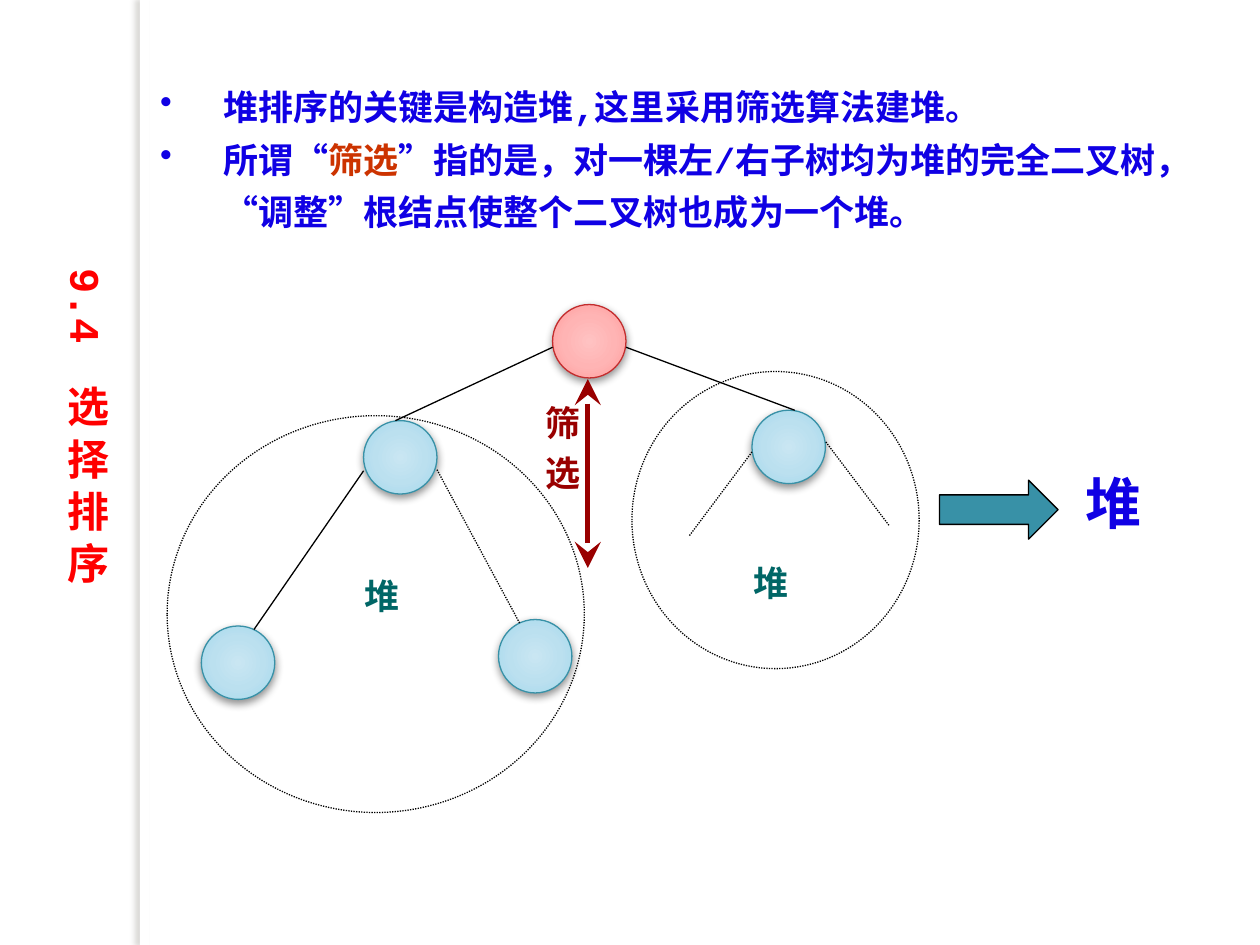
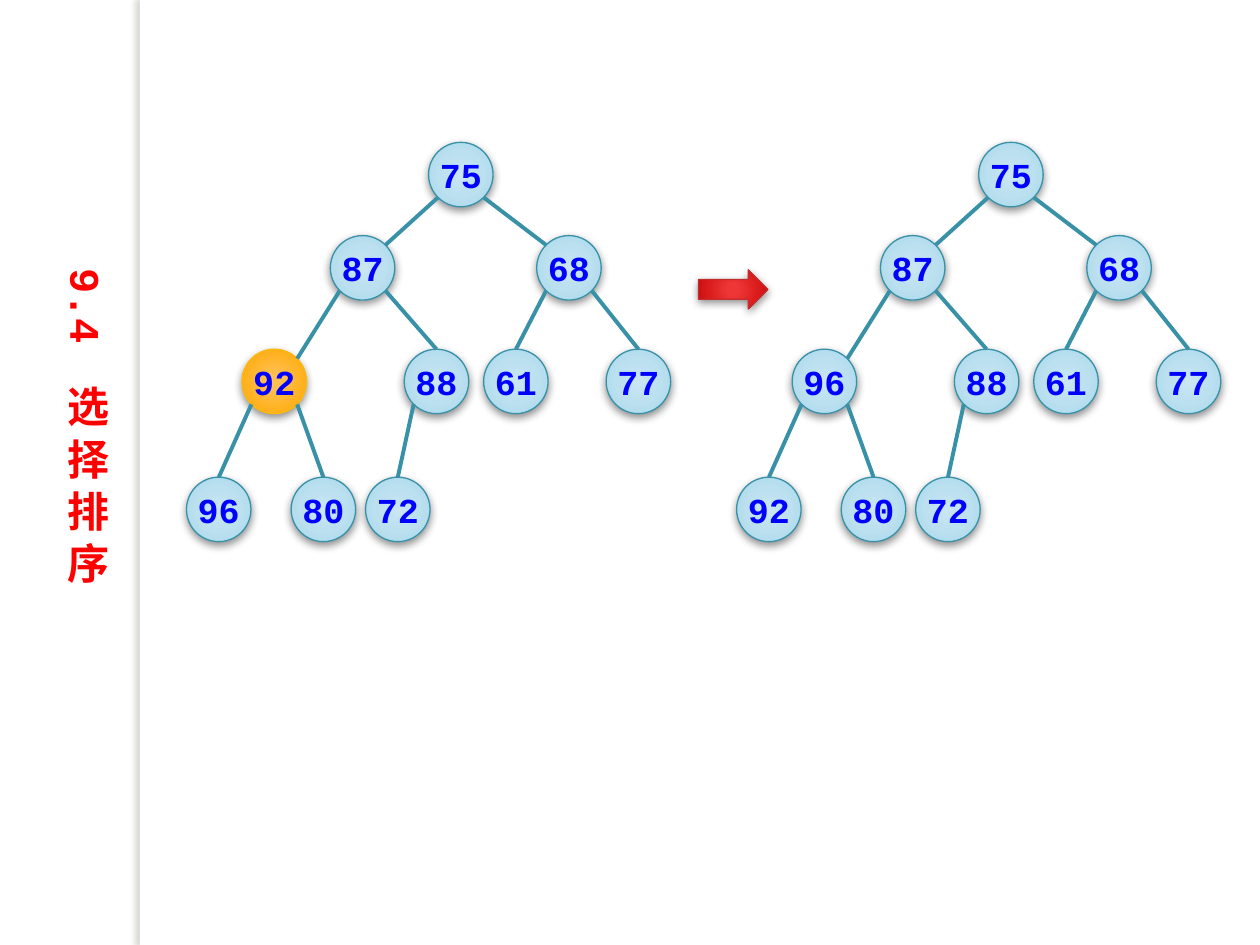
from lxml import etree
from pptx import Presentation
from pptx import util as u
from pptx.dml.color import RGBColor
from pptx.enum import dml, shapes, text
from pptx.oxml import ns

WHITE = RGBColor(0xFF, 0xFF, 0xFF)
BLACK = RGBColor(0x00, 0x00, 0x00)
TITLE_RED = RGBColor(0xFF, 0x00, 0x00)
BODY_BLUE = RGBColor(0x10, 0x00, 0xE4)
KEY_BLUE = RGBColor(0x00, 0x00, 0xFF)
TERM_ORANGE = RGBColor(0xCC, 0x33, 0x00)
HEAP_GREEN = RGBColor(0x00, 0x66, 0x66)
SIFT_RED = RGBColor(0x99, 0x00, 0x00)
TEAL = RGBColor(0x38, 0x91, 0xA7)
CRIMSON = RGBColor(0xC3, 0x2D, 0x2E)
AMBER = RGBColor(0xFE, 0xB8, 0x0A)
BAND_SHADE = RGBColor(0x73, 0x6F, 0x63)

BLUE_GLOW = (TEAL, {0: "C9E6F2", 50: "BBE0EF", 97: "A4D8ED", 100: "9BD7EE"})
PINK_GLOW = (CRIMSON, {0: "FFC2C2", 50: "FFB4B4", 97: "FF9C9C", 100: "FF9595"})
AMBER_GLOW = (AMBER, {0: "FFBF54", 15: "FFBF53", 62: "FFB221", 97: "F6A500", 100: "D69900"})
RED_GLOW = (CRIMSON, {0: "EF3737", 15: "EE3637", 62: "DB1C1C", 97: "C70C0D", 100: "C30001"})

MONO = "Courier New"
HAN = "Noto Sans CJK SC"
SHAPE = shapes.MSO_SHAPE
DOTTED = dml.MSO_LINE.ROUND_DOT

KEY_SIZE = 1.3
LEVEL_TOPS = (0, 1.88, 4.17, 6.75)
KEY_LEFTS = (4.88, 2.9, 7.06, 1.12, 4.39, 5.99, 8.46, 0, 2.11, 3.61)


def add(parent, tag, **attributes):
    """Append a drawing element and return it."""
    return etree.SubElement(parent, ns.qn(tag), {k: str(v) for k, v in attributes.items()})


def add_shadow(shape, color, alpha, blur, distance, angle):
    """Give a shape an outer shadow; blur and distance in points."""
    effects = shape.element.spPr.find(ns.qn("a:effectLst"))
    outer = add(effects, "a:outerShdw", blurRad=u.Pt(blur), dist=u.Pt(distance),
                dir=angle * 60000, algn="ctr", rotWithShape=0)
    add(add(outer, "a:srgbClr", val=color), "a:alpha", val=alpha * 1000)


def add_figure(slide, kind, left, top, width, height, fill=None, line=None, dash=None):
    """Add a preset shape with a plain fill and a thin outline."""
    figure = slide.shapes.add_shape(kind, u.Cm(left), u.Cm(top), u.Cm(width), u.Cm(height))
    figure.shadow.inherit = False
    if fill is None:
        figure.fill.background()
    else:
        figure.fill.solid()
        figure.fill.fore_color.rgb = fill
    if line is None:
        figure.line.fill.background()
    else:
        figure.line.color.rgb = line
        figure.line.width = u.Pt(0.75)
    if dash:
        figure.line.dash_style = dash
    return figure


def add_glowing(slide, kind, left, top, width, height, glow):
    """Add a shape with a radial gradient and a soft shadow below."""
    line, stops = glow
    figure = add_figure(slide, kind, left, top, width, height, line=line)
    gradient = etree.Element(ns.qn("a:gradFill"), rotWithShape="1")
    stop_list = add(gradient, "a:gsLst")
    for position, color in stops.items():
        add(add(stop_list, "a:gs", pos=position * 1000), "a:srgbClr", val=color)
    add(add(gradient, "a:path", path="circle"), "a:fillToRect", l=50000, t=50000, r=50000, b=50000)
    properties = figure.element.spPr
    properties.replace(properties.find(ns.qn("a:noFill")), gradient)
    add_shadow(figure, BLACK, 43, 5, 2, 90)
    return figure


def add_line(slide, start, end, color=BLACK, width=0.75, dash=None):
    """Add a straight line between two points given in centimetres."""
    line = slide.shapes.add_connector(
        shapes.MSO_CONNECTOR.STRAIGHT, *(u.Cm(value) for value in (*start, *end)))
    line.line.color.rgb = color
    line.line.width = u.Pt(width)
    if dash:
        line.line.dash_style = dash
    add(line.element.spPr, "a:effectLst")
    return line


def format_run(run, size, font, color):
    """Set bold type with the given Latin font and the shared Chinese font."""
    run.font.size = u.Pt(size)
    run.font.bold = True
    run.font.color.rgb = color
    run.font.name = font
    add(run.font._element, "a:ea", typeface=HAN)


def add_text(slide, left, top, width, height, words, size, font, color,
             wrap=True, vertical=False, wide_gap=None):
    """Add a text box; wide_gap stretches its first space by that many points."""
    box = slide.shapes.add_textbox(u.Cm(left), u.Cm(top), u.Cm(width), u.Cm(height))
    frame = box.text_frame
    frame.word_wrap = wrap
    frame.auto_size = text.MSO_AUTO_SIZE.SHAPE_TO_FIT_TEXT
    if vertical:
        box.element.txBody.bodyPr.set("vert", "eaVert")
    paragraph = frame.paragraphs[0]
    for part in words.partition(" ") if wide_gap else [words]:
        run = paragraph.add_run()
        run.text = part
        format_run(run, size, font, color)
        if part == " ":
            run.font._element.set("spc", str(int(wide_gap * 100)))
    return paragraph


def add_page(deck):
    """Add a slide with the side band and the vertical section title."""
    slide = deck.slides.add_slide(deck.slide_layouts[6])
    band = add_figure(slide, SHAPE.RECTANGLE, 2.82, 0, 0.2, 19.05, fill=WHITE)
    add_shadow(band, BAND_SHADE, 25, 3, 3, 180)
    title = add_text(slide, 0.84, 5.16, 1.55, 8.13, "9.4　选 择 排 序", 24, MONO,
                     TITLE_RED, vertical=True)
    title.alignment = text.PP_ALIGN.CENTER
    return slide


def add_definition(slide, left, top, width, height):
    """Add the bulleted definition of sifting."""
    box = slide.shapes.add_textbox(u.Cm(left), u.Cm(top), u.Cm(width), u.Cm(height))
    frame = box.text_frame
    frame.word_wrap = True
    frame.auto_size = text.MSO_AUTO_SIZE.SHAPE_TO_FIT_TEXT
    points = (
        [("堆排序的关键是构造堆,这里采用筛选算法建堆。", BODY_BLUE)],
        [("所谓“", BODY_BLUE), ("筛选", TERM_ORANGE),
         ("”指的是，对一棵左/右子树均为堆的完全二叉树，“调整”根结点使整个二叉树也成为一个堆。", BODY_BLUE)],
    )
    for number, point in enumerate(points):
        paragraph = frame.add_paragraph() if number else frame.paragraphs[0]
        paragraph.line_spacing = u.Pt(30)
        properties = paragraph._p.get_or_add_pPr()
        properties.set("marL", str(u.Cm(1.27)))
        properties.set("indent", str(-u.Cm(1.27)))
        add(properties, "a:buChar", char="•")
        for words, color in point:
            run = paragraph.add_run()
            run.text = words
            format_run(run, 20, MONO, color)


def add_sifting(slide, left, top):
    """Draw a root above two heaps, and the heap they become."""
    def at(x, y):
        return left + x, top + y

    for x, y, width, height in ((9.37, 1.35, 5.79, 5.99), (0, 2.24, 8.41, 8)):
        add_figure(slide, SHAPE.OVAL, *at(x, y), width, height, line=BLACK, dash=DOTTED)
    nodes = ((7.77, 0, PINK_GLOW), (3.96, 2.34, BLUE_GLOW), (11.79, 2.13, BLUE_GLOW),
             (0.69, 6.48, BLUE_GLOW), (6.68, 6.35, BLUE_GLOW))
    for x, y, glow in nodes:
        add_glowing(slide, SHAPE.OVAL, *at(x, y), 1.48, 1.48, glow)
    branches = (
        ((7.77, 0.86), (4.6, 2.34), None), ((9.25, 0.86), (12.65, 2.13), None),
        ((3.96, 3.35), (1.75, 6.55), None), ((5.44, 3.33), (7.11, 6.43), DOTTED),
        ((11.79, 2.97), (10.52, 4.67), DOTTED), ((13.28, 2.77), (14.55, 4.45), DOTTED),
    )
    for start, end, dash in branches:
        add_line(slide, at(*start), at(*end), dash=dash)
    for x, y in ((3.73, 5.31), (11.58, 5.05)):
        add_text(slide, *at(x, y), 1.22, 1.12, "堆", 20, HAN, HEAP_GREEN, wrap=False)

    sift = add_line(slide, at(8.48, 1.5), at(8.48, 5.31), SIFT_RED, 3)
    for end in ("a:headEnd", "a:tailEnd"):
        add(sift.line._get_or_add_ln(), end, type="stealth", w="lg", len="lg")
    add_text(slide, *at(7.14, 1.78), 1.37, 2.67, "筛 选", 20, HAN, SIFT_RED,
             vertical=True, wide_gap=4.5)
    add_figure(slide, SHAPE.RIGHT_ARROW, *at(15.57, 3.54), 2.39, 1.19, TEAL, BLACK)
    add_text(slide, *at(18.26, 3.18), 2.18, 1.6, "堆", 32, HAN, BODY_BLUE)


def add_tree(slide, left, top, keys, marked=None):
    """Draw a complete binary tree from its keys in level order."""
    nodes, centres = [], []
    half = KEY_SIZE / 2
    slant = half * 0.71
    for index, (key, x) in enumerate(zip(keys, KEY_LEFTS)):
        y = top + LEVEL_TOPS[(index + 1).bit_length() - 1]
        glow = AMBER_GLOW if key == marked else BLUE_GLOW
        node = add_glowing(slide, SHAPE.OVAL, left + x, y, KEY_SIZE, KEY_SIZE, glow)
        frame = node.text_frame
        frame.margin_left = frame.margin_right = 0
        frame.vertical_anchor = text.MSO_ANCHOR.MIDDLE
        frame.text = str(key)
        frame.paragraphs[0].alignment = text.PP_ALIGN.CENTER
        format_run(frame.paragraphs[0].runs[0], 20, MONO, KEY_BLUE)
        nodes.append(node)
        centres.append((left + x + half, y + half))
    for child in range(1, len(keys)):
        side = -1 if child % 2 else 1
        parent_x, parent_y = centres[(child - 1) // 2]
        x, y = centres[child]
        start = parent_x + side * slant, parent_y + slant
        to_corner = child <= 3
        end = (x - side * slant, y - slant) if to_corner else (x, y - half)
        edge = add_line(slide, start, end, TEAL, 2.25)
        if not to_corner:
            edge.end_connect(nodes[child], 0)


def main():
    """Build both slides and save the deck."""
    deck = Presentation()
    deck.slide_width, deck.slide_height = u.Cm(25.4), u.Cm(19.05)

    sifting = add_page(deck)
    add_definition(sifting, 2.98, 1.39, 21.23, 3.45)
    add_sifting(sifting, 3.37, 6.14)

    swap = add_page(deck)
    add_tree(swap, 3.76, 2.87, (75, 87, 68, 92, 88, 61, 77, 96, 80, 72), marked=92)
    add_tree(swap, 14.85, 2.87, (75, 87, 68, 96, 88, 61, 77, 92, 80, 72))
    add_glowing(swap, SHAPE.RIGHT_ARROW, 14.08, 5.44, 1.4, 0.79, RED_GLOW)

    deck.save("out.pptx")


if __name__ == "__main__":
    main()
